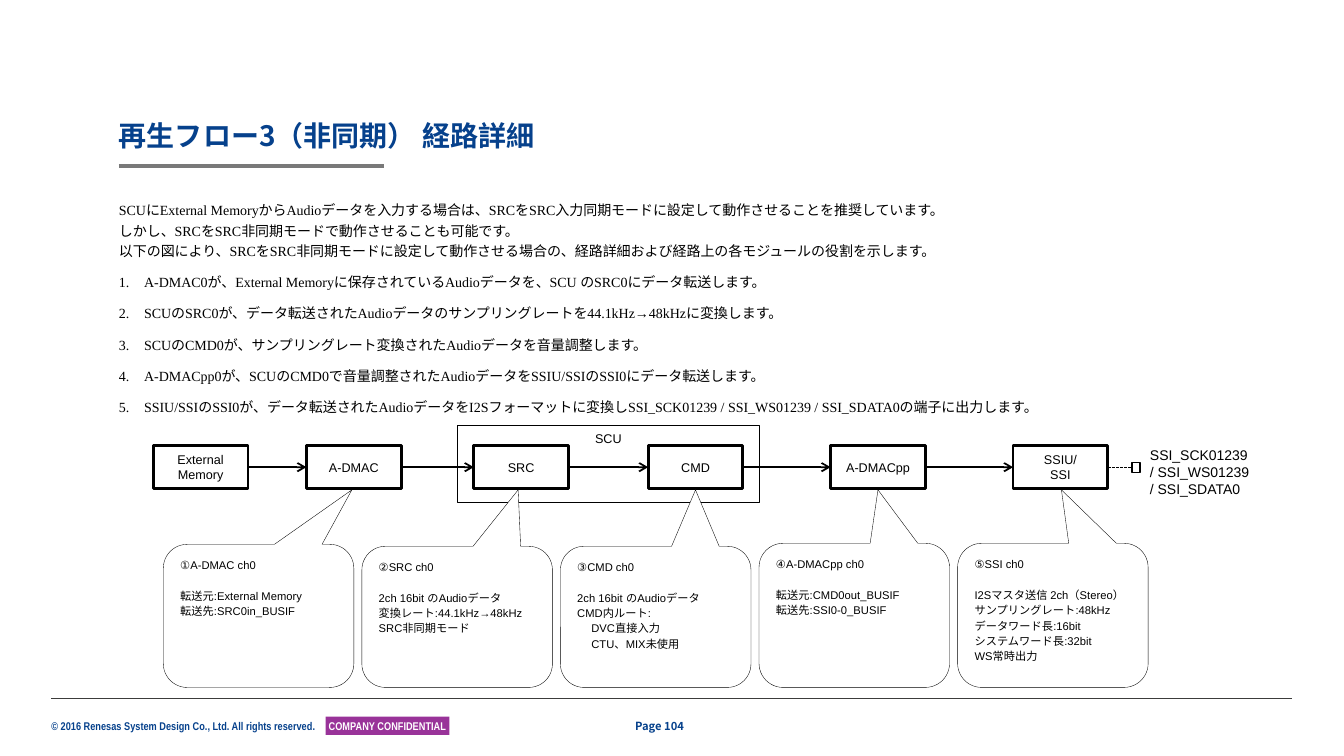
import pptx
import pptx.dml.color
import pptx.enum.dml
import pptx.enum.shapes
import pptx.enum.text
import pptx.oxml.ns
import pptx.util
from lxml import etree

GRID = pptx.util.Inches(0.1)
COLORS = {"ink": "000000", "paper": "FFFFFF", "navy": "06418C",
          "purple": "993399", "gray": "797979", "rule": "3C3C3B"}
SHAPES = pptx.enum.shapes.MSO_SHAPE
ANCHORS = pptx.enum.text.MSO_ANCHOR
CENTER = pptx.enum.text.PP_ALIGN.CENTER

FLOW_TOP, FLOW_HEIGHT, MODULE_WIDTH = 44.2, 4.3, 9.4
FLOW_MIDDLE = FLOW_TOP + FLOW_HEIGHT / 2
MODULES = [(15.2, ["External", "Memory"]), (30.4, ["A-DMAC"]), (47, ["SRC"]),
           (64.3, ["CMD"]), (82.4, ["A-DMACpp"]), (100.5, ["SSIU/", "SSI"])]

CALLOUT_LEFT, CALLOUT_STEP, CALLOUT_WIDTH = 16.2, 19.7, 18.9
CALLOUT_BOTTOM, TIP_ROW = 68.2, 48.6
CALLOUTS = [
    (34.9, 54, None, ["①A-DMAC ch0", "転送元:External Memory", "転送先:SRC0in_BUSIF"]),
    (51.4, 54.2, "paper", ["②SRC ch0", "2ch 16bit のAudioデータ",
                           "変換レート:44.1kHz→48kHz", "SRC非同期モード"]),
    (69, 54.2, "paper", ["③CMD ch0", "2ch 16bit のAudioデータ", "CMD内ルート:",
                         "DVC直接入力", "CTU、MIX未使用"]),
    (87.1, 53.9, None, ["④A-DMACpp ch0", "転送元:CMD0out_BUSIF", "転送先:SSI0-0_BUSIF"]),
    (105.3, 53.9, None, ["⑤SSI ch0", "I2Sマスタ送信 2ch（Stereo）", "サンプリングレート:48kHz",
                         "データワード長:16bit", "システムワード長:32bit", "WS常時出力"]),
]
NESTED_LINES = {"DVC直接入力", "CTU、MIX未使用"}

INTRO = ("SCUにExternal MemoryからAudioデータを入力する場合は、SRCをSRC入力同期モードに設定して動作させることを推奨しています。\v"
         "しかし、SRCをSRC非同期モードで動作させることも可能です。\v"
         "以下の図により、SRCをSRC非同期モードに設定して動作させる場合の、経路詳細および経路上の各モジュールの役割を示します。")
STEPS = [
    "A-DMAC0が、External Memoryに保存されているAudioデータを、SCU のSRC0にデータ転送します。",
    "SCUのSRC0が、データ転送されたAudioデータのサンプリングレートを44.1kHz→48kHzに変換します。",
    "SCUのCMD0が、サンプリングレート変換されたAudioデータを音量調整します。",
    "A-DMACpp0が、SCUのCMD0で音量調整されたAudioデータをSSIU/SSIのSSI0にデータ転送します。",
    "SSIU/SSIのSSI0が、データ転送されたAudioデータをI2Sフォーマットに変換し"
    "SSI_SCK01239 / SSI_WS01239 / SSI_SDATA0の端子に出力します。",
]


def cells(*counts):
    return [round(count * GRID) for count in counts]


def rgb(name):
    return pptx.dml.color.RGBColor.from_string(COLORS[name])


def indent(paragraph, left, first=0):
    properties = paragraph._p.get_or_add_pPr()
    properties.set("marL", str(cells(left)[0]))
    properties.set("indent", str(cells(first)[0]))
    return properties


def write(shape, lines, size, font="Arial", color="ink", bold=False, align=None,
          anchor=ANCHORS.TOP, margins=None, wrap=True, spacing=None):
    frame = shape.text_frame
    frame.word_wrap = wrap
    frame.vertical_anchor = anchor
    if margins is not None:
        frame.margin_left = frame.margin_right = cells(margins)[0]
        frame.margin_top = frame.margin_bottom = 0
    for number, line in enumerate(lines):
        paragraph = frame.add_paragraph() if number else frame.paragraphs[0]
        paragraph.text = line
        paragraph.alignment = align or pptx.enum.text.PP_ALIGN.LEFT
        if spacing:
            paragraph.line_spacing = spacing
        paragraph.font.size = pptx.util.Pt(size)
        paragraph.font.name = font
        paragraph.font.bold = bold
        paragraph.font.color.rgb = rgb(color)
    return frame.paragraphs


def add_label(slide, at, lines, size, **style):
    return write(slide.shapes.add_textbox(*cells(*at)), lines, size, **style)


def add_box(slide, at, fill=None, line=None, kind=SHAPES.RECTANGLE):
    box = slide.shapes.add_shape(kind, *cells(*at))
    box.shadow.inherit = False
    if fill:
        box.fill.solid()
        box.fill.fore_color.rgb = rgb(fill)
    else:
        box.fill.background()
    if line:
        box.line.color.rgb = rgb("ink")
        box.line.width = pptx.util.Pt(line)
    else:
        box.line.fill.background()
    return box


def add_line(slide, ends, color, width):
    line = slide.shapes.add_connector(pptx.enum.shapes.MSO_CONNECTOR.STRAIGHT, *cells(*ends))
    line.line.color.rgb = rgb(color)
    line.line.width = pptx.util.Pt(width)
    etree.SubElement(line._element.spPr, pptx.oxml.ns.qn("a:effectLst"))
    return line


def add_module(slide, left, lines):
    module = add_box(slide, (left, FLOW_TOP, MODULE_WIDTH, FLOW_HEIGHT), line=2)
    write(module, lines, 9, align=CENTER, anchor=ANCHORS.MIDDLE)
    return module


def add_arrow(slide, source, target):
    arrow = add_line(slide, (0, 0, 1, 1), "ink", 1.25)
    arrow.begin_connect(source, 3)
    arrow.end_connect(target, 1)
    etree.SubElement(arrow.line._get_or_add_ln(), pptx.oxml.ns.qn("a:tailEnd"), type="arrow")


def add_callout(slide, left, tip, top, fill, lines):
    height = CALLOUT_BOTTOM - top
    callout = add_box(slide, (left, top, CALLOUT_WIDTH, height), fill, 0.25,
                      SHAPES.ROUNDED_RECTANGULAR_CALLOUT)
    callout.adjustments[0] = (tip - left) / CALLOUT_WIDTH - 0.5
    callout.adjustments[1] = (TIP_ROW - top) / height - 0.5
    paragraphs = write(callout, lines, 8, spacing=pptx.util.Pt(11))
    paragraphs[1].space_before = pptx.util.Pt(11)
    for paragraph in paragraphs:
        if paragraph.text in NESTED_LINES:
            indent(paragraph, 1.4)


def add_explanation(slide):
    box = slide.shapes.add_textbox(*cells(11.8, 19.7, 108.4, 21.6))
    paragraphs = write(box, [INTRO] + STEPS, 10, font="Times New Roman", margins=0, spacing=1.2)
    for paragraph in paragraphs:
        paragraph.space_after = pptx.util.Pt(8)
    for paragraph in paragraphs[1:]:
        numbering = etree.Element(pptx.oxml.ns.qn("a:buAutoNum"), type="arabicPeriod")
        properties = indent(paragraph, 2.5, -2.5)
        properties.find(pptx.oxml.ns.qn("a:defRPr")).addprevious(numbering)


def add_frame(slide):
    add_line(slide, (5.1, 69.3, 128.2, 69.3), "rule", 0.5)
    mark = add_box(slide, (32.3, 71.1, 12.3, 1.8), fill="purple")
    write(mark, ["COMPANY CONFIDENTIAL"], 8, font="Arial Narrow", color="paper", bold=True,
          align=CENTER, anchor=ANCHORS.MIDDLE, margins=0.4, wrap=False)
    add_label(slide, (5.1, 71.4, 26.7, 1.3),
              ["© 2016 Renesas System Design Co., Ltd. All rights reserved."], 8,
              font="Arial Narrow", color="navy", bold=True, margins=0, wrap=False)
    add_label(slide, (63, 71.4, 7.3, 1.3), ["Page 104"], 8, font="Noto Sans CJK JP",
              color="navy", bold=True, anchor=ANCHORS.MIDDLE, margins=0)
    add_line(slide, (11.8, 16.5, 38.1, 16.5), "gray", 3)
    add_label(slide, (11.8, 12, 98.4, 3.1), ["再生フロー3（非同期） 経路詳細"], 20,
              font="Noto Sans CJK JP", color="navy", bold=True, anchor=ANCHORS.BOTTOM,
              margins=0, spacing=0.9)


def add_flow(slide):
    scu = add_box(slide, (45.4, 42.2, 29.9, 7.6), line=0.25)
    write(scu, ["SCU"], 9, align=CENTER, spacing=pptx.util.Pt(11))
    modules = [add_module(slide, left, lines) for left, lines in MODULES]
    for source, target in zip(modules, modules[1:]):
        add_arrow(slide, source, target)
    lead = add_line(slide, (109.9, FLOW_MIDDLE, 112.3, FLOW_MIDDLE), "ink", 0.75)
    lead.line.dash_style = pptx.enum.dml.MSO_LINE.SQUARE_DOT
    add_box(slide, (112.3, FLOW_MIDDLE - 0.5, 0.8, 1), "paper", 0.75)
    add_label(slide, (113.1, 43.8, 16.5, 6.1),
              ["SSI_SCK01239", "/ SSI_WS01239", "/ SSI_SDATA0"], 10)
    for number, callout in enumerate(CALLOUTS):
        add_callout(slide, CALLOUT_LEFT + number * CALLOUT_STEP, *callout)


def main():
    deck = pptx.Presentation()
    deck.slide_width, deck.slide_height = cells(133.33, 75)
    slide = deck.slides.add_slide(deck.slide_layouts[6])
    add_frame(slide)
    add_explanation(slide)
    add_flow(slide)
    deck.save("out.pptx")


if __name__ == "__main__":
    main()
